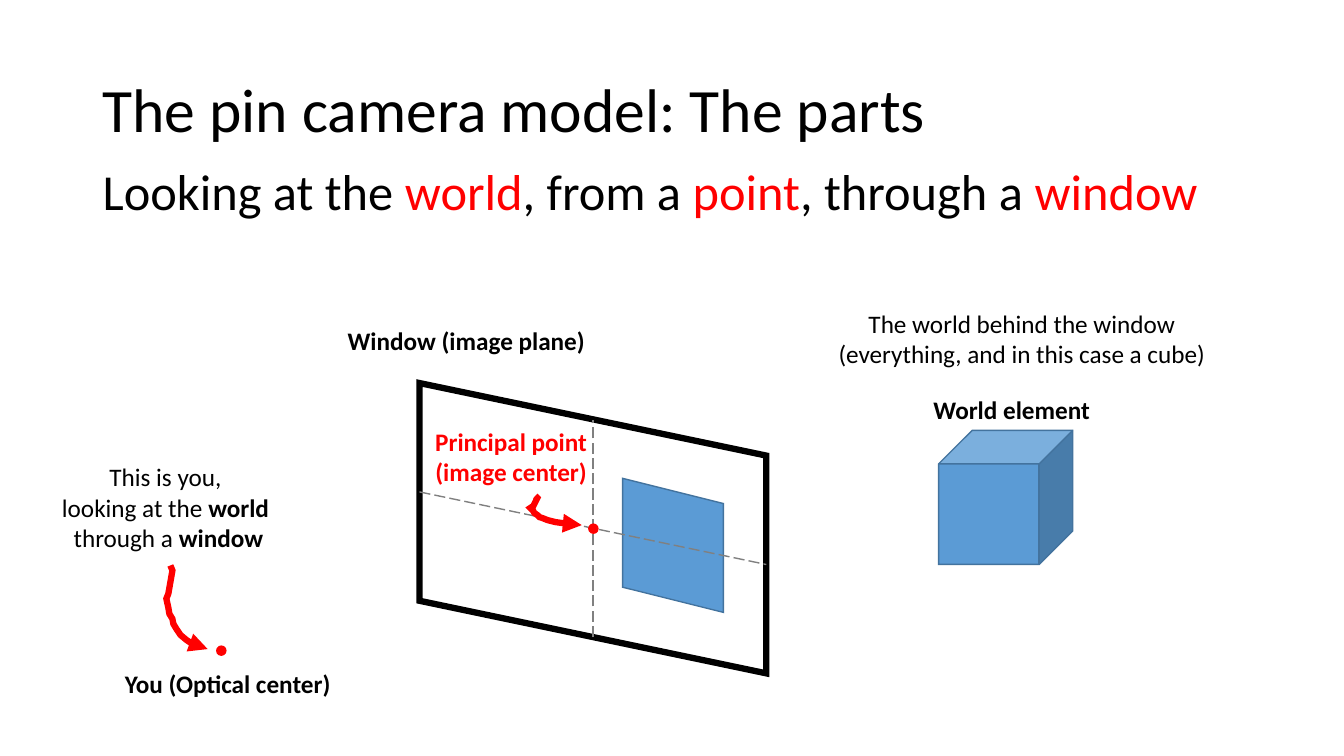
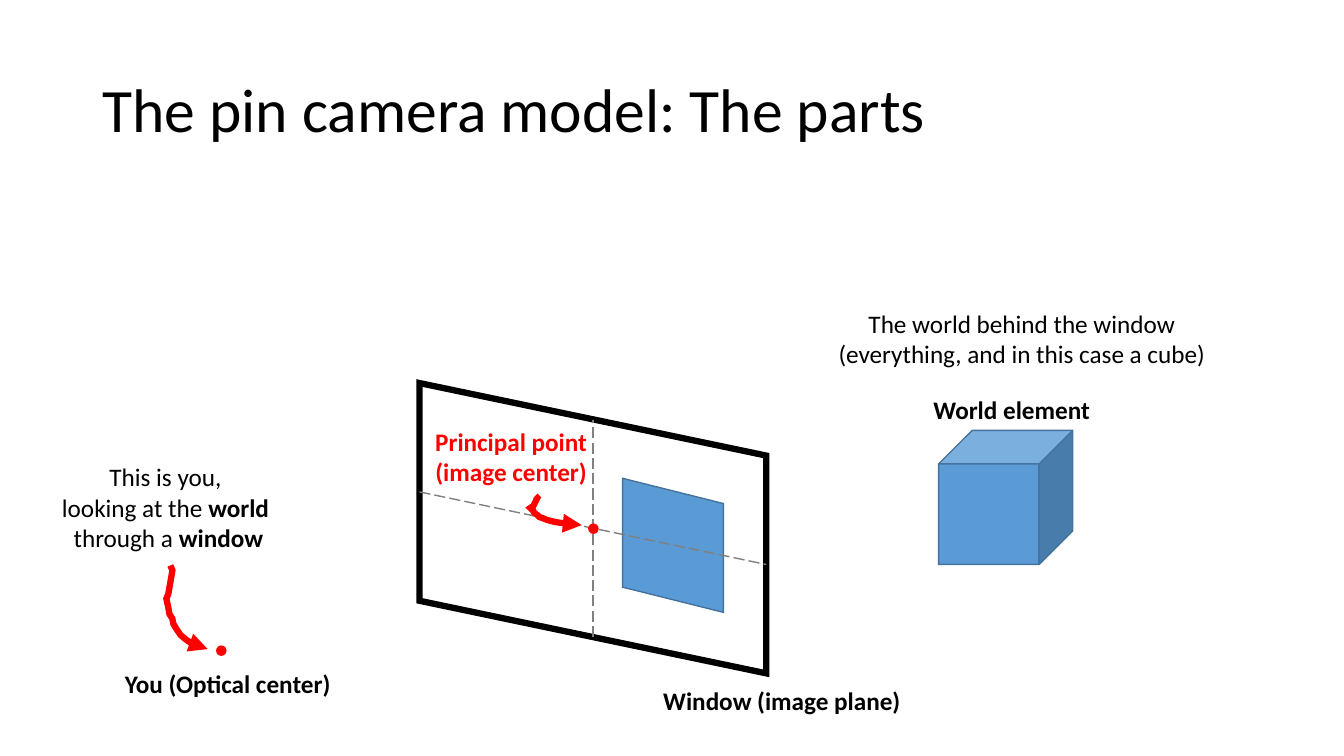
from lxml import etree
from pptx import Presentation
from pptx.dml.color import RGBColor
from pptx.enum.dml import MSO_LINE
from pptx.enum.shapes import MSO_CONNECTOR, MSO_SHAPE
from pptx.enum.text import MSO_ANCHOR, PP_ALIGN
from pptx.oxml.ns import qn
from pptx.util import Inches, Pt

CENTER, LEFT = PP_ALIGN.CENTER, PP_ALIGN.LEFT
TOP, MIDDLE = MSO_ANCHOR.TOP, MSO_ANCHOR.MIDDLE
STRAIGHT, LONG_DASH = MSO_CONNECTOR.STRAIGHT, MSO_LINE.LONG_DASH
PARALLELOGRAM, OVAL, CUBE = MSO_SHAPE.PARALLELOGRAM, MSO_SHAPE.OVAL, MSO_SHAPE.CUBE

FONT = "Calibri"
BLACK, RED, GRAY = "000000", "FF0000", "808080"
BLUE, DARK_BLUE = "5B9BD5", "43739E"
DOT = 0.09

# Text: a list of lines, each a list of (words, colour, bold)
TITLE = [[("The pin camera model: The parts", BLACK, False)]]
SUBTITLE = [[("Looking at the ", BLACK, False), ("world", RED, False),
             (", from a ", BLACK, False), ("point", RED, False),
             (", through a ", BLACK, False), ("window", RED, False)]]
WINDOW_LABEL = [[("Window (image plane)", BLACK, True)]]

# Labels on every slide: lines, box, alignment
LABELS = [
    ([[("This is you, ", BLACK, False)],
      [("looking at the ", BLACK, False), ("world ", BLACK, True)],
      [("through a ", BLACK, False), ("window", BLACK, True)]],
     (0.51, 4.53, 2.32, 1.01), CENTER),
    ([[("The world behind the window", BLACK, False)],
      [("(everything, and in this case a cube)", BLACK, False)]],
     (8.19, 3.01, 3.89, 0.71), CENTER),
    ([[("World element", BLACK, True)]], (9.16, 3.86, 1.77, 0.4), LEFT),
    ([[("You (Optical center)", BLACK, True)]], (1.14, 6.58, 2.26, 0.4), LEFT),
    ([[("Principal point", RED, True)], [("(image center)", RED, True)]],
     (4.21, 4.18, 1.72, 0.71), CENTER),
]

# What differs per slide: subtitle, place of the window label
SLIDES = [(SUBTITLE, (3.35, 3.18, 2.57, 0.4)),
          (None, (6.48, 6.75, 2.57, 0.4))]

AXES = [((5.88, 6.32), (5.88, 4.17)), ((4.16, 4.88), (7.6, 5.6))]
OPTICAL_CENTER, PRINCIPAL_POINT = (2.15, 6.41), (5.84, 5.2)

# Hand-drawn arrows, from start to head
ARROW_TO_YOU = [
    (1.69, 5.61), (1.71, 5.66), (1.7, 5.72), (1.67, 5.89), (1.65, 5.94),
    (1.67, 6.03), (1.68, 6.09), (1.71, 6.14), (1.72, 6.19), (1.75, 6.24),
    (1.79, 6.3), (1.85, 6.35), (1.91, 6.39), (1.94, 6.41), (1.97, 6.43),
    (2.03, 6.45), (2.06, 6.44)]
ARROW_TO_PRINCIPAL = [
    (5.31, 4.92), (5.33, 4.94), (5.32, 4.96), (5.29, 5.02), (5.26, 5.04),
    (5.29, 5.07), (5.3, 5.09), (5.33, 5.11), (5.35, 5.13), (5.38, 5.14),
    (5.43, 5.16), (5.51, 5.18), (5.58, 5.19), (5.62, 5.2), (5.65, 5.21),
    (5.73, 5.22), (5.77, 5.21)]


def rgb(color):
    return RGBColor.from_string(color)


def inches(values):
    return [Inches(v) for v in values]


def add_text(s, lines, box, size=18, align=LEFT, anchor=TOP, wrap=False, spacing=1.0):
    tf = s.shapes.add_textbox(*inches(box)).text_frame
    tf.word_wrap = wrap
    tf.vertical_anchor = anchor
    p = tf.paragraphs[0]
    p.alignment = align
    p.line_spacing = spacing
    p.font.name = FONT
    p.font.size = Pt(size)
    for i, line in enumerate(lines):
        if i:
            p.add_line_break()
        for words, color, bold in line:
            r = p.add_run()
            r.text = words
            r.font.bold = bold
            r.font.color.rgb = rgb(color)


def style(sp, fill, line, width):
    """Set fill and outline with sharp corners; return the line element."""
    sp.shadow.inherit = False
    if fill:
        sp.fill.solid()
        sp.fill.fore_color.rgb = rgb(fill)
    else:
        sp.fill.background()
    sp.line.color.rgb = rgb(line)
    sp.line.width = Pt(width)
    ln = sp.line._get_or_add_ln()
    etree.SubElement(ln, qn("a:miter"), lim="800000")
    return ln


def add_shape(s, kind, box, fill, line, width=1, rotation=0):
    sp = s.shapes.add_shape(kind, *inches(box))
    sp.rotation = rotation
    style(sp, fill, line, width)


def add_dot(s, corner):
    add_shape(s, OVAL, (*corner, DOT, DOT), RED, RED)


def add_axis(s, start, end):
    c = s.shapes.add_connector(STRAIGHT, *inches(start + end))
    c.line.color.rgb = rgb(GRAY)
    c.line.width = Pt(1)
    c.line.dash_style = LONG_DASH
    etree.SubElement(c._element.spPr, qn("a:effectLst"))


def add_arrow(s, points):
    points = [inches(point) for point in points]
    builder = s.shapes.build_freeform(*points[0])
    builder.add_line_segments(points[1:], close=False)
    ln = style(builder.convert_to_shape(), None, RED, 4.5)
    etree.SubElement(ln, qn("a:tailEnd"), type="triangle")


def add_scene(s):
    # Projected face, window and its axes
    add_shape(s, PARALLELOGRAM, (6.01, 4.91, 1.33, 1), BLUE, DARK_BLUE, rotation=270)
    add_shape(s, PARALLELOGRAM, (4.44, 3.52, 2.88, 3.44), None, BLACK, 4.5, 90)
    for start, end in AXES:
        add_axis(s, start, end)
    # World, points and labels
    add_shape(s, CUBE, (9.31, 4.27, 1.33, 1.33), BLUE, DARK_BLUE)
    for corner in (OPTICAL_CENTER, PRINCIPAL_POINT):
        add_dot(s, corner)
    for lines, box, align in LABELS:
        add_text(s, lines, box, align=align)
    for points in (ARROW_TO_YOU, ARROW_TO_PRINCIPAL):
        add_arrow(s, points)


def main():
    prs = Presentation()
    prs.slide_width, prs.slide_height = inches((13.33, 7.5))
    for subtitle, label_box in SLIDES:
        s = prs.slides.add_slide(prs.slide_layouts[6])
        add_text(s, TITLE, (0.92, 0.39, 11.5, 1.45), 44,
                 anchor=MIDDLE, wrap=True, spacing=0.9)
        add_scene(s)
        add_text(s, WINDOW_LABEL, label_box)
        if subtitle:
            add_text(s, subtitle, (0.92, 1.61, 11.33, 1.62), 36, wrap=True, spacing=0.9)
    prs.save("out.pptx")


if __name__ == "__main__":
    main()
